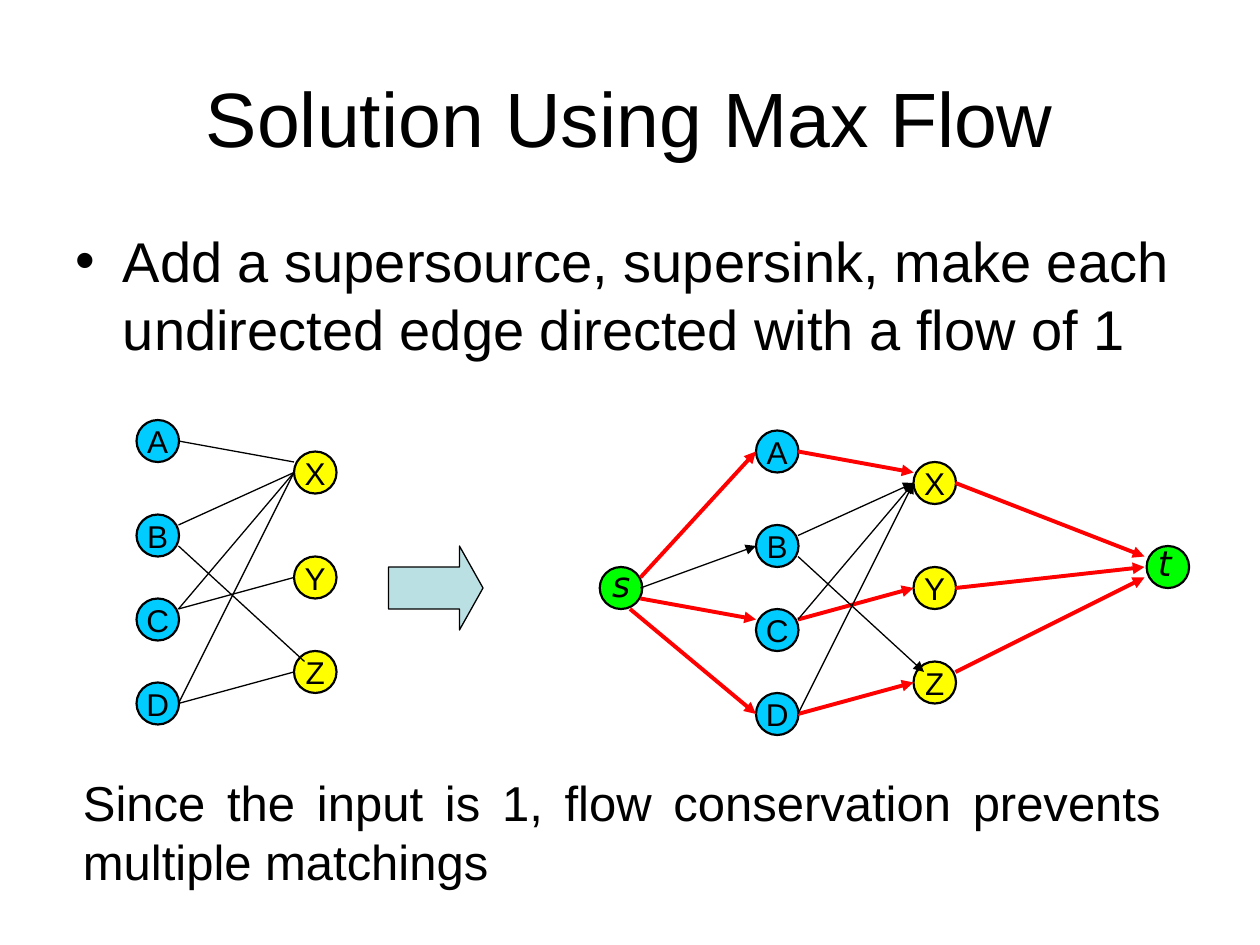
import pptx
import pptx.util
import pptx.dml.color
import pptx.enum.shapes
import pptx.enum.text
import pptx.oxml
import pptx.oxml.ns

Pt = pptx.util.Pt
MSO_SHAPE = pptx.enum.shapes.MSO_SHAPE
PP_ALIGN = pptx.enum.text.PP_ALIGN
MSO_ANCHOR = pptx.enum.text.MSO_ANCHOR
MSO_AUTO_SIZE = pptx.enum.text.MSO_AUTO_SIZE
BLACK, RED = "000000", "FF0000"
BLUE, YELLOW, GREEN = "00CCFF", "FFFF00", "00FF00"


def color(fmt, value):
    """Give a fill, line fill or font a solid colour from a hex string."""
    if hasattr(fmt, "solid"):
        fmt.solid()
    target = fmt.fore_color if hasattr(fmt, "fore_color") else fmt.color
    target.rgb = pptx.dml.color.RGBColor.from_string(value)


def set_text(sp, text, size, align, font="Arial", italic=False):
    tf = sp.text_frame
    tf.text = text
    p = tf.paragraphs[0]
    p.alignment = align
    p.space_before = Pt(0)
    r = p.runs[0]
    r.font.name, r.font.size, r.font.italic = font, Pt(size), italic
    color(r.font, BLACK)
    return tf


prs = pptx.Presentation()
prs.slide_width, prs.slide_height = Pt(720), Pt(540)
s = prs.slides.add_slide(prs.slide_layouts[1])

# Title and bullet
title, body = s.placeholders
title.left, title.top, title.width, title.height = Pt(36), Pt(21.6), Pt(648), Pt(90)
tf = set_text(title, "Solution Using Max Flow", 44, PP_ALIGN.CENTER)
tf.vertical_anchor = MSO_ANCHOR.MIDDLE
tf.auto_size = MSO_AUTO_SIZE.NONE

body.left, body.top, body.width, body.height = Pt(36), Pt(126), Pt(648), Pt(356.4)
tf = set_text(body, "Add a supersource, supersink, make each undirected edge "
              "directed with a flow of 1", 32, PP_ALIGN.LEFT)
tf.auto_size = MSO_AUTO_SIZE.NONE

# Both graphs share one layout; the flow network is shifted
nodes = [("A", 78, 240, BLUE), ("B", 78, 294, BLUE), ("C", 78, 342, BLUE),
         ("D", 78, 390, BLUE), ("X", 168, 258, YELLOW), ("Y", 168, 318, YELLOW),
         ("Z", 168, 372, YELLOW)]
# Start x, y, end x, y, and whether the edge is in the matching
edges = [(102, 252, 168, 264, True), (102, 300, 168, 270, False),
         (102, 348, 168, 330, True), (102, 402, 168, 384, True),
         (102, 402, 168, 270, False), (102, 312, 174, 378, False),
         (102, 348, 168, 270, False)]
terminal_edges = [(366, 330, 432, 258, True), (366, 336, 432, 312, False),
                  (366, 342, 432, 354, True), (360, 348, 432, 408, True),
                  (546, 276, 654, 318, True), (546, 336, 654, 324, True),
                  (546, 384, 654, 330, True)]
dx, dy = 354, 6
flow_nodes = [(name, x + dx, y + dy, fill) for name, x, y, fill in nodes]
flow_nodes += [("", 342.7, 324, GREEN), ("", 655.2, 312, GREEN)]
flow_edges = [(x1 + dx, y1 + dy, x2 + dx, y2 + dy, matched)
              for x1, y1, x2, y2, matched in edges] + terminal_edges

for graph_nodes, graph_edges, directed in [(nodes, edges, False),
                                           (flow_nodes, flow_edges, True)]:
    for name, x, y, fill in graph_nodes:
        sp = s.shapes.add_shape(MSO_SHAPE.OVAL, Pt(x), Pt(y), Pt(24.3), Pt(24))
        sp.shadow.inherit = False
        color(sp.fill, fill)
        color(sp.line.fill, BLACK)
        sp.line.width = Pt(1.25)
        if name:
            tf = set_text(sp, name, 18, PP_ALIGN.CENTER)
            tf.word_wrap = False
            tf.vertical_anchor = MSO_ANCHOR.MIDDLE
    for x1, y1, x2, y2, matched in graph_edges:
        sp = s.shapes.add_connector(pptx.enum.shapes.MSO_CONNECTOR.STRAIGHT,
                                    Pt(x1), Pt(y1), Pt(x2), Pt(y2))
        highlighted = directed and matched
        color(sp.line.fill, RED if highlighted else BLACK)
        sp.line.width = Pt(2.25 if highlighted else 0.75)
        if directed:
            tail = pptx.oxml.ns.qn("a:tailEnd")
            ln = sp.line._get_or_add_ln()
            ln.append(pptx.oxml.parse_xml(
                '<a:tailEnd xmlns:a="http://schemas.openxmlformats.org/'
                'drawingml/2006/main" type="triangle"/>'))
        sp._element.spPr.append(pptx.oxml.parse_xml(
            '<a:effectLst xmlns:a="http://schemas.openxmlformats.org/'
            'drawingml/2006/main"/>'))

# Block arrow between the graphs
sp = s.shapes.add_shape(MSO_SHAPE.RIGHT_ARROW, Pt(222), Pt(312), Pt(54), Pt(48))
sp.adjustments[0], sp.adjustments[1] = 0.5, 0.28
sp.shadow.inherit = False
color(sp.fill, "BBE0E3")
color(sp.line.fill, BLACK)
sp.line.width = Pt(0.75)

# Source and sink labels
for name, x, y, width in [("s", 342.7, 318, 23), ("t", 654.5, 306, 20.9)]:
    sp = s.shapes.add_textbox(Pt(x), Pt(y), Pt(width), Pt(31.7))
    tf = set_text(sp, name, 20, PP_ALIGN.LEFT, "DejaVu Sans", True)
    tf.word_wrap = False
    tf.auto_size = MSO_AUTO_SIZE.SHAPE_TO_FIT_TEXT

# Closing remark
sp = s.shapes.add_textbox(Pt(40.3), Pt(437.8), Pt(630), Pt(74.9))
tf = set_text(sp, "Since the input is 1, flow conservation prevents multiple "
              "matchings", 28, PP_ALIGN.JUSTIFY)
tf.word_wrap = True
tf.auto_size = MSO_AUTO_SIZE.SHAPE_TO_FIT_TEXT

prs.save("out.pptx")
